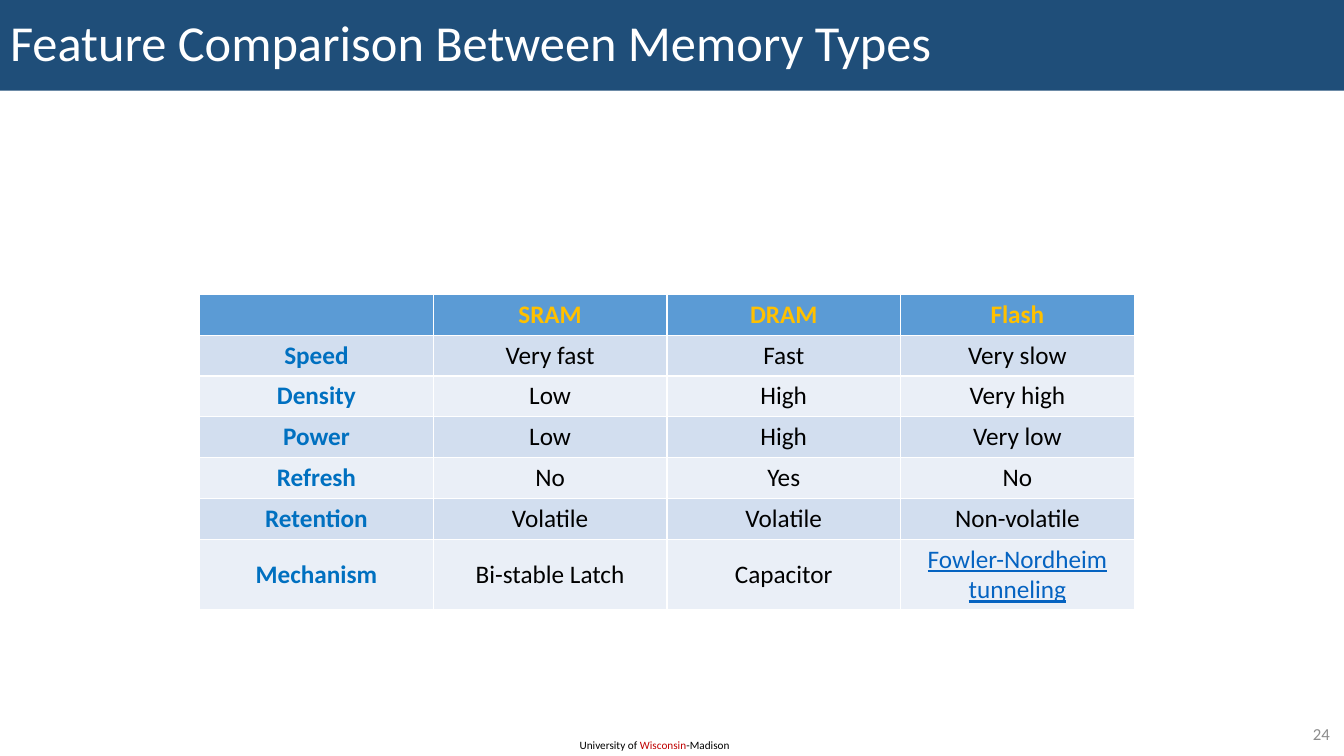
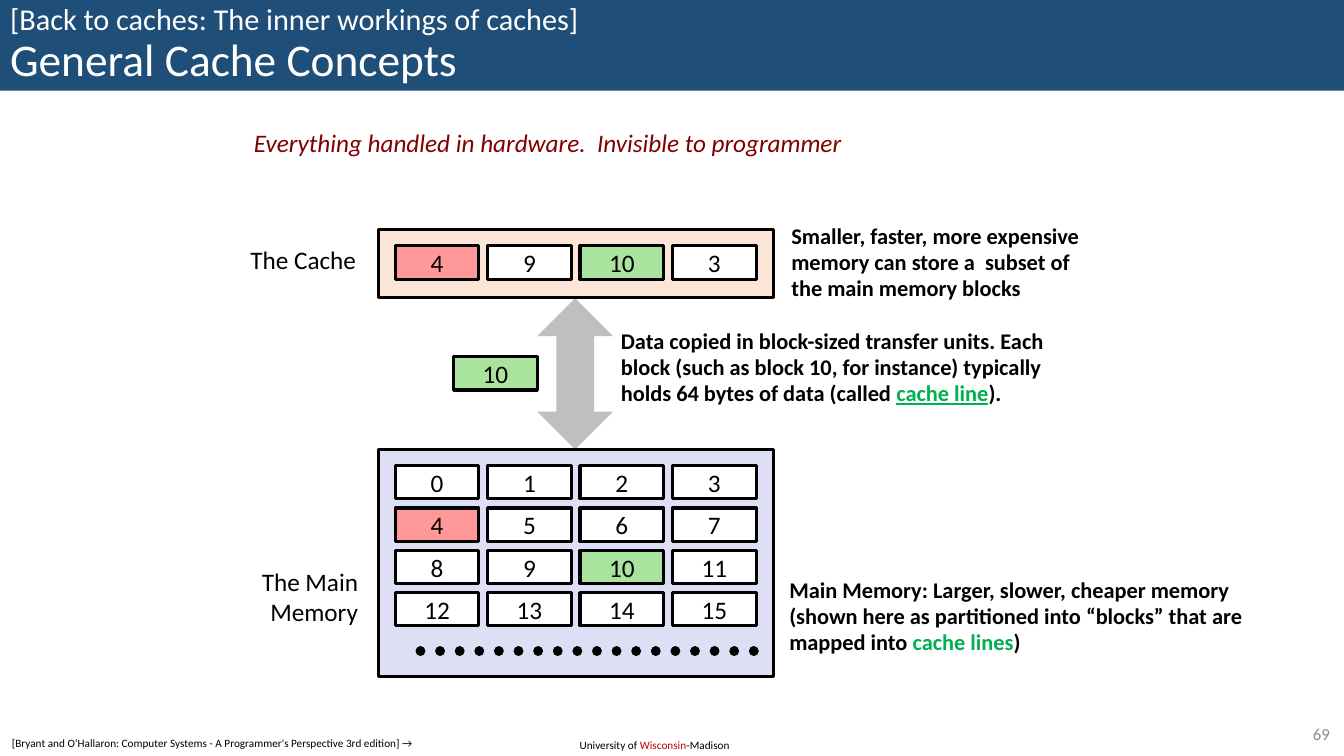
import dataclasses

import pptx
import pptx.dml.color
import pptx.enum.dml
import pptx.enum.shapes
import pptx.enum.text
import pptx.oxml.ns
import pptx.util
from pptx.util import Inches


@dataclasses.dataclass(frozen=True)
class Theme:
    font: str = "Calibri"
    band: str = "1F4E79"
    white: str = "FFFFFF"
    black: str = "000000"
    gray: str = "8C8C8C"
    arrow: str = "BFBFBF"
    accent_red: str = "C00000"
    dark_red: str = "800000"
    green: str = "00B050"
    gold: str = "FFC000"
    blue: str = "0070C0"
    link: str = "0563C1"
    header: str = "5B9BD5"
    row_dark: str = "D2DEEF"
    row_light: str = "EAEFF7"
    cache: str = "FBE5D6"
    memory: str = "DEDFF5"
    block_red: str = "FF9999"
    block_green: str = "A9E39D"
    title_size: float = 36
    subtitle_size: float = 21.6
    second_title_size: float = 32.4
    body_size: float = 18
    note_size: float = 16
    number_size: float = 12
    footer_size: float = 8


theme = Theme()
rgb = pptx.dml.color.RGBColor.from_string
align = pptx.enum.text.PP_ALIGN
anchors = pptx.enum.text.MSO_ANCHOR
shapes = pptx.enum.shapes.MSO_SHAPE


def write_text(frame, paragraphs, size=theme.body_size, color=theme.black, bold=False,
               italic=False, underline=False, alignment=align.LEFT,
               anchor=anchors.TOP, spacing=1.0):
    frame.word_wrap = True
    frame.vertical_anchor = anchor
    if isinstance(paragraphs, str):
        paragraphs = [[paragraphs]]
    for index, spans in enumerate(paragraphs):
        para = frame.add_paragraph() if index else frame.paragraphs[0]
        para.alignment = alignment
        para.line_spacing = spacing
        for item in spans:
            text, changes = (item, {}) if isinstance(item, str) else item
            span = para.add_run()
            span.text = text
            span.font.name = theme.font
            span.font.size = pptx.util.Pt(changes.get("size", size))
            span.font.color.rgb = rgb(changes.get("color", color))
            span.font.bold = bold
            span.font.italic = italic
            span.font.underline = changes.get("underline", underline)


def add_box(page, geometry, left, top, width, height, fill, outlined=True):
    box = page.shapes.add_shape(geometry, Inches(left), Inches(top), Inches(width), Inches(height))
    box.shadow.inherit = False
    box.fill.solid()
    box.fill.fore_color.rgb = rgb(fill)
    if outlined:
        box.line.color.rgb = rgb(theme.black)
        box.line.width = pptx.util.Pt(2.25)
    else:
        box.line.fill.background()
    return box


deck = pptx.Presentation()
deck.slide_width = Inches(13.33)
deck.slide_height = Inches(7.5)

headings = [
    ([["Feature Comparison Between Memory Types"]], "24"),
    ([[("[Back to caches: The inner workings of caches]", {"size": theme.subtitle_size})],
      [("General Cache Concepts", {"size": theme.second_title_size})]], "69"),
]
for heading, number in headings:
    page = deck.slides.add_slide(deck.slide_layouts[5])
    title = page.shapes.title
    title.left, title.top = Inches(0), Inches(0)
    title.width, title.height = Inches(13.33), Inches(0.9)
    title.fill.solid()
    title.fill.fore_color.rgb = rgb(theme.band)
    title.text_frame.auto_size = pptx.enum.text.MSO_AUTO_SIZE.NONE
    write_text(title.text_frame, heading, size=theme.title_size, color=theme.white,
               anchor=anchors.MIDDLE, spacing=0.9)
    footer = page.shapes.add_textbox(Inches(5.65), Inches(7.28), Inches(1.72), Inches(0.24))
    write_text(footer.text_frame,
               [["University of ", ("Wisconsin", {"color": theme.accent_red}), "-Madison"]],
               size=theme.footer_size)
    page_number = page.shapes.add_textbox(Inches(12.53), Inches(7.13), Inches(0.76), Inches(0.29))
    write_text(page_number.text_frame, number, size=theme.number_size, color=theme.gray,
               alignment=align.RIGHT, anchor=anchors.MIDDLE)

comparison_page, cache_page = deck.slides

features = [
    ["", "SRAM", "DRAM", "Flash"],
    ["Speed", "Very fast", "Fast", "Very slow"],
    ["Density", "Low", "High", "Very high"],
    ["Power", "Low", "High", "Very low"],
    ["Refresh", "No", "Yes", "No"],
    ["Retention", "Volatile", "Volatile", "Non-volatile"],
    ["Mechanism", "Bi-stable Latch", "Capacitor", "Fowler-Nordheim tunneling"],
]
table = comparison_page.shapes.add_table(
    len(features), len(features[0]), Inches(1.98), Inches(2.92), Inches(9.27), Inches(2.84)).table
for row in table.rows:
    row.height = Inches(0.405)
table.rows[len(features) - 1].height = Inches(0.7)
for row_index, labels in enumerate(features):
    for column_index, label in enumerate(labels):
        cell = table.cell(row_index, column_index)
        is_link = label.startswith("Fowler")
        color = theme.link if is_link else theme.black
        fill = theme.row_dark if row_index % 2 else theme.row_light
        if column_index == 0:
            color = theme.blue
        if row_index == 0:
            color, fill = theme.gold, theme.header
        cell.fill.solid()
        cell.fill.fore_color.rgb = rgb(fill)
        cell.vertical_anchor = anchors.MIDDLE
        if label:
            write_text(cell.text_frame, label, color=color, underline=is_link,
                       bold=row_index == 0 or column_index == 0,
                       alignment=align.CENTER, anchor=anchors.MIDDLE)

add_box(cache_page, shapes.UP_DOWN_ARROW, 5.33, 2.96, 0.75, 1.5, theme.arrow, outlined=False)
add_box(cache_page, shapes.RECTANGLE, 3.75, 4.46, 3.92, 2.25, theme.memory)
add_box(cache_page, shapes.RECTANGLE, 3.75, 2.28, 3.92, 0.67, theme.cache)

block_width, block_height = 0.83, 0.33
column_step = (7.5 - block_width - 3.92) / 3
blocks = [(3.92 + column * column_step, 2.44, value) for column, value in enumerate([4, 9, 10, 3])]
blocks += [(3.92 + value % 4 * column_step, 4.62 + value // 4 * 0.42, value) for value in range(16)]
blocks.append((4.5, 3.54, 10))
block_fills = {4: theme.block_red, 10: theme.block_green}
for left, top, value in blocks:
    block = add_box(cache_page, shapes.RECTANGLE, left, top, block_width, block_height,
                    block_fills.get(value, theme.white))
    write_text(block.text_frame, str(value), alignment=align.CENTER, anchor=anchors.MIDDLE)

dots = cache_page.shapes.add_connector(
    pptx.enum.shapes.MSO_CONNECTOR.STRAIGHT, Inches(4.17), Inches(6.46), Inches(7.5), Inches(6.46))
dots.line.color.rgb = rgb(theme.black)
dots.line.width = pptx.util.Pt(7)
dots.line.dash_style = pptx.enum.dml.MSO_LINE.ROUND_DOT
dots_properties = dots.element.spPr
dots_properties.find(pptx.oxml.ns.qn("a:ln")).set("cap", "rnd")
dots_properties.append(pptx.oxml.parse_xml(
    f'<a:effectLst {pptx.oxml.ns.nsdecls("a")}/>'))

label_format = {"alignment": align.RIGHT}
note_format = {"size": theme.note_size, "bold": True, "anchor": anchors.MIDDLE, "spacing": 0.98}
captions = [
    (2.2, 2.37, 1.43, 0.4, "The Cache", label_format),
    (2.23, 5.57, 1.42, 0.71, "The Main Memory", label_format),
    (2.42, 1.21, 6.27, 0.4, "Everything handled in hardware.  Invisible to programmer",
     {"color": theme.dark_red, "italic": True}),
    (7.73, 5.67, 4.8, 0.89,
     [["Main Memory: Larger, slower, cheaper memory"],
      ["(shown here as partitioned into “blocks” that are"],
      ["mapped into ", ("cache lines", {"color": theme.green}), ")"]], note_format),
    (6.06, 3.19, 4.51, 0.91,
     [["Data copied in block-sized transfer units. Each block (such as block 10, for instance) "
       "typically holds 64 bytes of data (called ",
       ("cache line", {"color": theme.green, "underline": True}), ")."]], note_format),
    (7.75, 2.16, 3.21, 0.89,
     [["Smaller, faster, more expensive"], ["memory can store a  subset of"],
      ["the main memory blocks"]], note_format),
]
for left, top, width, height, text, text_format in captions:
    caption = cache_page.shapes.add_textbox(Inches(left), Inches(top), Inches(width), Inches(height))
    write_text(caption.text_frame, text, **text_format)

reference = add_box(cache_page, shapes.RECTANGLE, 0.02, 7.26, 4.31, 0.24, theme.white, outlined=False)
write_text(
    reference.text_frame,
    "[Bryant and O‘Hallaron: Computer Systems - A Programmer's Perspective 3rd edition] →",
    size=theme.footer_size)

deck.save("out.pptx")
